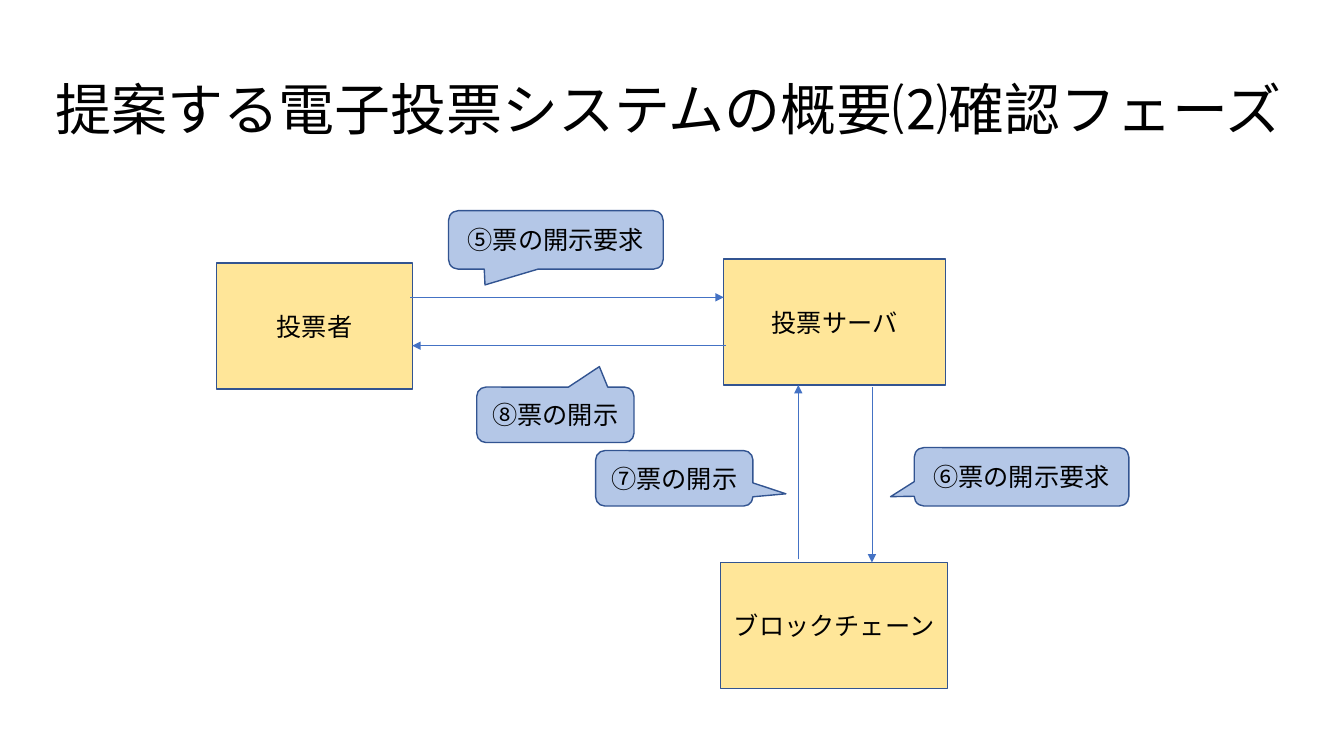
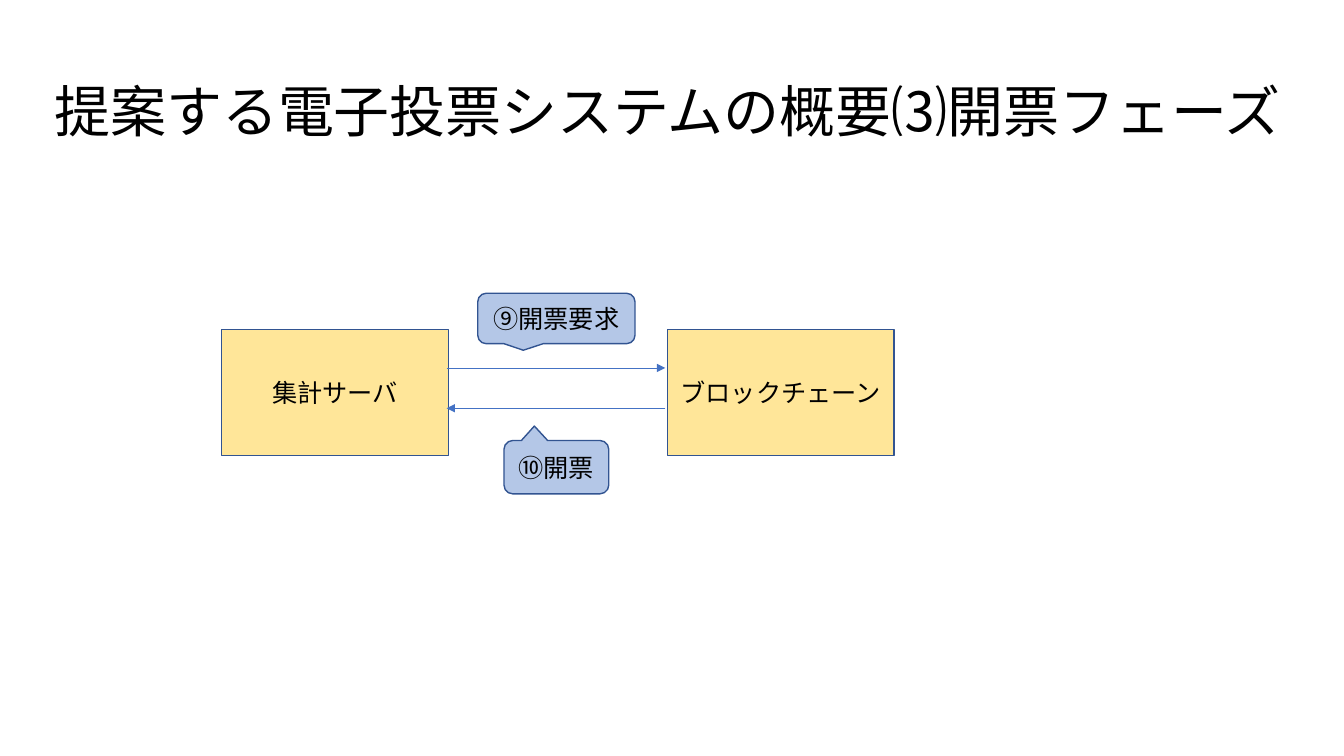
from lxml import etree
from pptx import Presentation
from pptx.dml.color import RGBColor
from pptx.enum.shapes import MSO_CONNECTOR, MSO_SHAPE
from pptx.enum.text import MSO_ANCHOR, PP_ALIGN
from pptx.oxml.ns import qn
from pptx.util import Inches, Pt

# Enum members
RECT = MSO_SHAPE.RECTANGLE
BUBBLE = MSO_SHAPE.ROUNDED_RECTANGULAR_CALLOUT
STRAIGHT = MSO_CONNECTOR.STRAIGHT
MIDDLE = MSO_ANCHOR.MIDDLE
LEFT, CENTER = PP_ALIGN.LEFT, PP_ALIGN.CENTER

# Shared look
BLACK = RGBColor(0x00, 0x00, 0x00)
YELLOW = RGBColor(0xFF, 0xE6, 0x99)
PALE = RGBColor(0xB4, 0xC7, 0xE7)
NAVY = RGBColor(0x32, 0x54, 0x91)
BLUE = RGBColor(0x44, 0x72, 0xC4)
FONT = "Noto Sans CJK JP"
HEAD = {"size": Pt(40), "name": FONT}
BODY = {"size": Pt(18), "name": FONT}

# Grid of square cells, three to the inch
COLS, ROWS = 40, 22.5
CELL = Inches(1) / 3
TITLE = (37.38, 4.35)
NODE = (6.75, 3.75)
LONG = (6.39, 1.74)
SHORT = (4.68, 1.65)


def grid(*cells):
    return [round(cell * CELL) for cell in cells]


def write(shape, text, form, align, space=1.0):
    """Fill a shape with one line of styled text."""
    frame = shape.text_frame
    frame.word_wrap = True
    frame.vertical_anchor = MIDDLE
    para = frame.paragraphs[0]
    para.alignment, para.line_spacing = align, space
    run = para.add_run()
    run.text = text
    run.font.color.rgb = BLACK
    for key, value in form.items():
        setattr(run.font, key, value)
    # East Asian glyphs need their own font entry
    asian = etree.SubElement(run.font._element, qn("a:ea"))
    asian.set("typeface", form["name"])


def title(slide, text, spot):
    box = slide.shapes.add_textbox(*grid(*spot, *TITLE))
    write(box, text, HEAD, LEFT, 0.9)


def panel(slide, kind, fill, text, spot, size):
    shape = slide.shapes.add_shape(kind, *grid(*spot, *size))
    shape.shadow.inherit = False
    shape.fill.solid()
    shape.fill.fore_color.rgb = fill
    shape.line.color.rgb = NAVY
    shape.line.width = Pt(1)
    write(shape, text, BODY, CENTER)
    return shape


def node(slide, text, spot, size=NODE):
    panel(slide, RECT, YELLOW, text, spot, size)


def bubble(slide, text, spot, size, tip):
    """Callout whose tip is given as shares of its size from the centre."""
    shape = panel(slide, BUBBLE, PALE, text, spot, size)
    for index, share in enumerate(tip):
        shape.adjustments[index] = share


def arrow(slide, start, end):
    link = slide.shapes.add_connector(STRAIGHT, *grid(*start, *end))
    link.line.color.rgb = BLUE
    link.line.width = Pt(0.5)
    tail = etree.SubElement(link.line._get_or_add_ln(), qn("a:tailEnd"))
    tail.set("type", "triangle")
    etree.SubElement(link._element.spPr, qn("a:effectLst"))


def check(slide):
    """Phase 2: the voter checks the vote."""
    title(slide, "提案する電子投票システムの概要⑵確認フェーズ", (1.35, 1.17))
    node(slide, "投票サーバ", (21.54, 7.71), (6.6, 3.75))
    node(slide, "投票者", (6.45, 7.83), (5.82, 3.75))
    node(slide, "ブロックチェーン", (21.45, 16.74))
    # Requests and replies
    arrow(slide, (12.21, 8.85), (21.54, 8.85))
    arrow(slide, (25.95, 11.52), (25.95, 16.74))
    arrow(slide, (21.6, 10.29), (12.27, 10.29))
    arrow(slide, (23.76, 16.65), (23.76, 11.46))
    # Step labels
    bubble(slide, "⑤票の開示要求", (13.35, 6.27), LONG, (-0.33, 0.77))
    bubble(slide, "⑥票の開示要求", (27.21, 13.32), LONG, (-0.61, 0.34))
    bubble(slide, "⑦票の開示", (17.73, 13.41), SHORT, (0.71, 0.28))
    bubble(slide, "⑧票の開示", (14.19, 11.52), SHORT, (0.28, -0.87))


def count(slide):
    """Phase 3: the votes are counted."""
    title(slide, "提案する電子投票システムの概要⑶開票フェーズ", (1.32, 1.23))
    node(slide, "ブロックチェーン", (19.86, 9.81))
    node(slide, "集計サーバ", (6.6, 9.81))
    # Request and reply
    arrow(slide, (13.29, 10.95), (19.8, 10.95))
    arrow(slide, (19.8, 12.15), (13.29, 12.15))
    # Step labels
    bubble(slide, "⑨開票要求", (14.22, 8.73), (4.68, 1.5), (-0.21, 0.63))
    bubble(slide, "⑩開票", (15, 13.11), (3.12, 1.59), (-0.21, -0.77))


def main():
    deck = Presentation()
    deck.slide_width, deck.slide_height = grid(COLS, ROWS)
    blank = deck.slide_layouts[6]
    for draw in (check, count):
        draw(deck.slides.add_slide(blank))
    deck.save("out.pptx")


if __name__ == "__main__":
    main()
